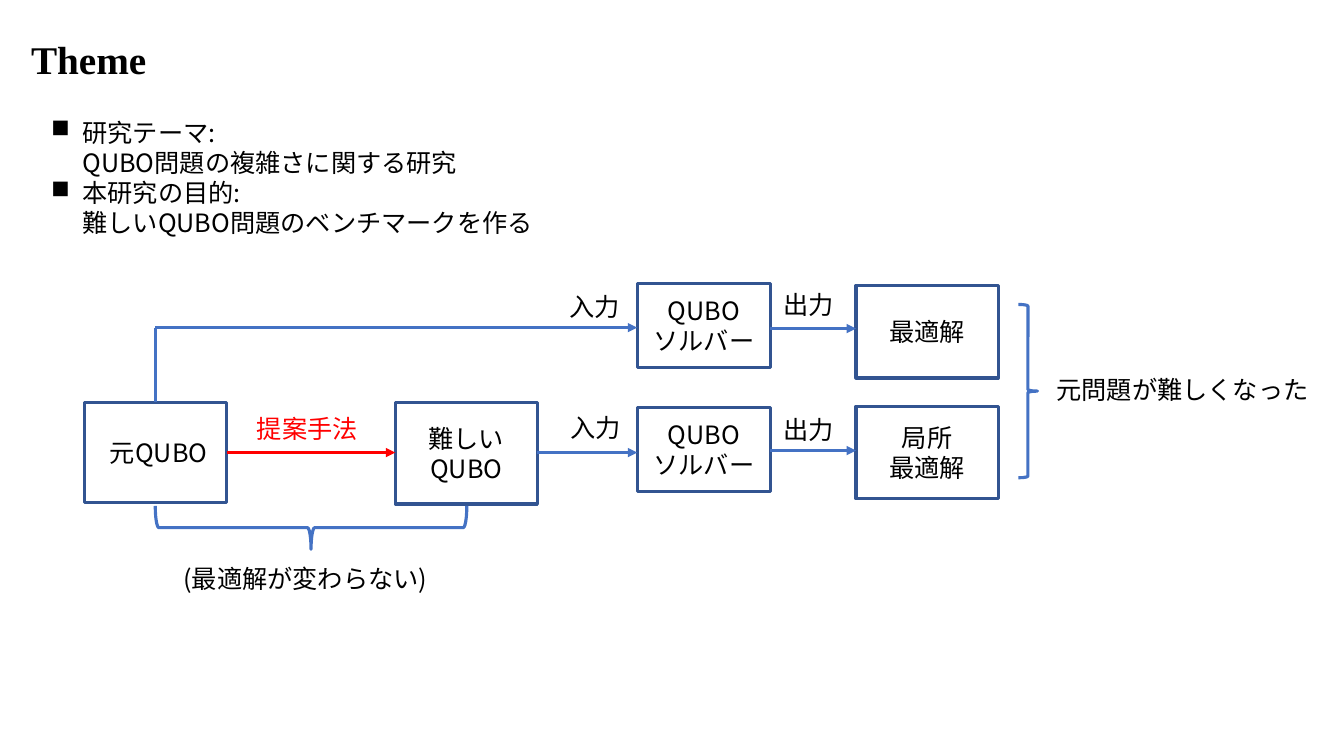
from dataclasses import dataclass

from lxml import etree
from pptx import Presentation
from pptx.dml.color import RGBColor
from pptx.enum.shapes import MSO_CONNECTOR, MSO_SHAPE
from pptx.enum.text import MSO_ANCHOR, MSO_AUTO_SIZE, PP_ALIGN
from pptx.oxml.ns import qn
from pptx.util import Inches, Pt

STRAIGHT = MSO_CONNECTOR.STRAIGHT
RECTANGLE = MSO_SHAPE.RECTANGLE
RIGHT_BRACE = MSO_SHAPE.RIGHT_BRACE
MIDDLE = MSO_ANCHOR.MIDDLE
GROW = MSO_AUTO_SIZE.SHAPE_TO_FIT_TEXT
LEFT, CENTER = PP_ALIGN.LEFT, PP_ALIGN.CENTER


@dataclass(frozen=True)
class Theme:
    text: str = "000000"
    border: str = "325491"
    flow: str = "4472C4"
    proposal: str = "FF0000"
    body_font: str = "Noto Sans CJK SC"
    title_font: str = "Times New Roman"
    body_size: int = 18
    title_size: int = 28
    line_width: float = 2.25
    bullet_indent: float = 0.31


class DiagramSlide:
    def __init__(self, slide, theme):
        self.slide = slide
        self.theme = theme

    def style_line(self, line, color):
        line.color.rgb = RGBColor.from_string(color)
        line.width = Pt(self.theme.line_width)

    def set_text(self, text_frame, text, color=None, align=LEFT, title=False):
        theme = self.theme
        text_frame.text = text
        for paragraph in text_frame.paragraphs:
            paragraph.alignment = align
            for run in paragraph.runs:
                font = run.font
                font.name = theme.title_font if title else theme.body_font
                font.size = Pt(theme.title_size if title else theme.body_size)
                font.bold = title
                font.color.rgb = RGBColor.from_string(color or theme.text)
                east_asian = etree.SubElement(run._r.get_or_add_rPr(), qn("a:ea"))
                east_asian.set("typeface", font.name)

    def label(self, text, left, top, width, height=0.4, wrap=False, **style):
        shape = self.slide.shapes.add_textbox(
            Inches(left), Inches(top), Inches(width), Inches(height))
        text_frame = shape.text_frame
        text_frame.word_wrap = wrap
        text_frame.auto_size = GROW
        self.set_text(text_frame, text, **style)
        return text_frame

    def bullets(self, items, left, top, width, height):
        """Each item is a bulleted heading with an indented line below it."""
        lines = "\n".join(line for item in items for line in item)
        text_frame = self.label(lines, left, top, width, height, wrap=True)
        indent = Inches(self.theme.bullet_indent)
        for index, paragraph in enumerate(text_frame.paragraphs):
            is_heading = index % 2 == 0
            properties = paragraph._p.get_or_add_pPr()
            properties.set("marL", str(indent))
            properties.set("indent", str(-indent if is_heading else 0))
            if is_heading:
                etree.SubElement(properties, qn("a:buChar")).set("char", "■")
            else:
                etree.SubElement(properties, qn("a:buNone"))

    def outline(self, kind, left, top, width, height, color):
        shape = self.slide.shapes.add_shape(
            kind, Inches(left), Inches(top), Inches(width), Inches(height))
        shape.shadow.inherit = False
        shape.fill.background()
        self.style_line(shape.line, color)
        return shape

    def box(self, text, left, top, width, height):
        shape = self.outline(RECTANGLE, left, top, width, height, self.theme.border)
        shape.text_frame.word_wrap = True
        shape.text_frame.vertical_anchor = MIDDLE
        self.set_text(shape.text_frame, text, align=CENTER)

    def brace(self, left, top, width, height, rotation=0):
        shape = self.outline(RIGHT_BRACE, left, top, width, height, self.theme.flow)
        shape.rotation = rotation

    def connect(self, start, end, color=None, arrow=True):
        connector = self.slide.shapes.add_connector(
            STRAIGHT, *(Inches(value) for value in (*start, *end)))
        self.style_line(connector.line, color or self.theme.flow)
        properties = connector._element.spPr
        if arrow:
            tail = etree.SubElement(properties.find(qn("a:ln")), qn("a:tailEnd"))
            tail.set("type", "triangle")
        etree.SubElement(properties, qn("a:effectLst"))


def main():
    presentation = Presentation()
    presentation.slide_width = Inches(13.33)
    presentation.slide_height = Inches(7.5)
    theme = Theme()
    diagram = DiagramSlide(
        presentation.slides.add_slide(presentation.slide_layouts[6]), theme)

    # Title and research summary
    diagram.label("Theme", 0.21, 0.3, 1.42, 0.57, title=True)
    diagram.bullets([
        ("研究テーマ:", "QUBO問題の複雑さに関する研究"),
        ("本研究の目的:", "難しいQUBO問題のベンチマークを作る"),
    ], 0.41, 1.11, 10.09, 1.31)

    # Original and hardened problems
    problem_width = 1.41
    original_left, hard_left, problem_top = 0.84, 3.92, 3.99
    solver_left, solver_width = 6.32, 1.32
    result_left = 8.49
    diagram.box(" 元QUBO", original_left, problem_top, problem_width, 1)
    diagram.box("難しいQUBO", hard_left, problem_top, problem_width, 1.01)

    # Solver rows: solver top, result, result top, output arrow height,
    # input label place, output label top
    rows = [
        (2.81, "最適解", 2.83, 3.26, (5.55, 2.84), 2.82),
        (4.04, "局所\n最適解", 4.03, 4.47, (5.56, 4.04), 4.06),
    ]
    for solver_top, result, result_top, output_y, input_place, output_top in rows:
        diagram.box("QUBO\nソルバー", solver_left, solver_top, solver_width, 0.84)
        diagram.box(result, result_left, result_top, problem_width, 0.92)
        diagram.connect((solver_left + solver_width, output_y), (result_left, output_y))
        diagram.label("入力", *input_place, 0.74)
        diagram.label("出力", 7.67, output_top, 0.74)

    # Input paths
    original_center, upper_y, lower_y = 1.54, 3.25, 4.49
    diagram.connect((original_center, problem_top), (original_center, upper_y), arrow=False)
    diagram.connect((original_center, upper_y), (solver_left, upper_y))
    diagram.connect((hard_left + problem_width, lower_y), (solver_left, lower_y))

    # Proposed method
    diagram.connect((original_left + problem_width, lower_y), (hard_left, lower_y),
                    theme.proposal)
    diagram.label("提案手法", 2.45, 4.05, 1.26, color=theme.proposal)

    # Conclusions beside the braces
    diagram.brace(10.1, 3.02, 0.19, 1.72)
    diagram.label("元問題が難しくなった", 10.38, 3.66, 2.77)
    diagram.brace(2.87, 3.69, 0.43, 3.09, rotation=90)
    diagram.label("(最適解が変わらない)", 1.72, 5.54, 2.75)

    presentation.save("out.pptx")


if __name__ == "__main__":
    main()
